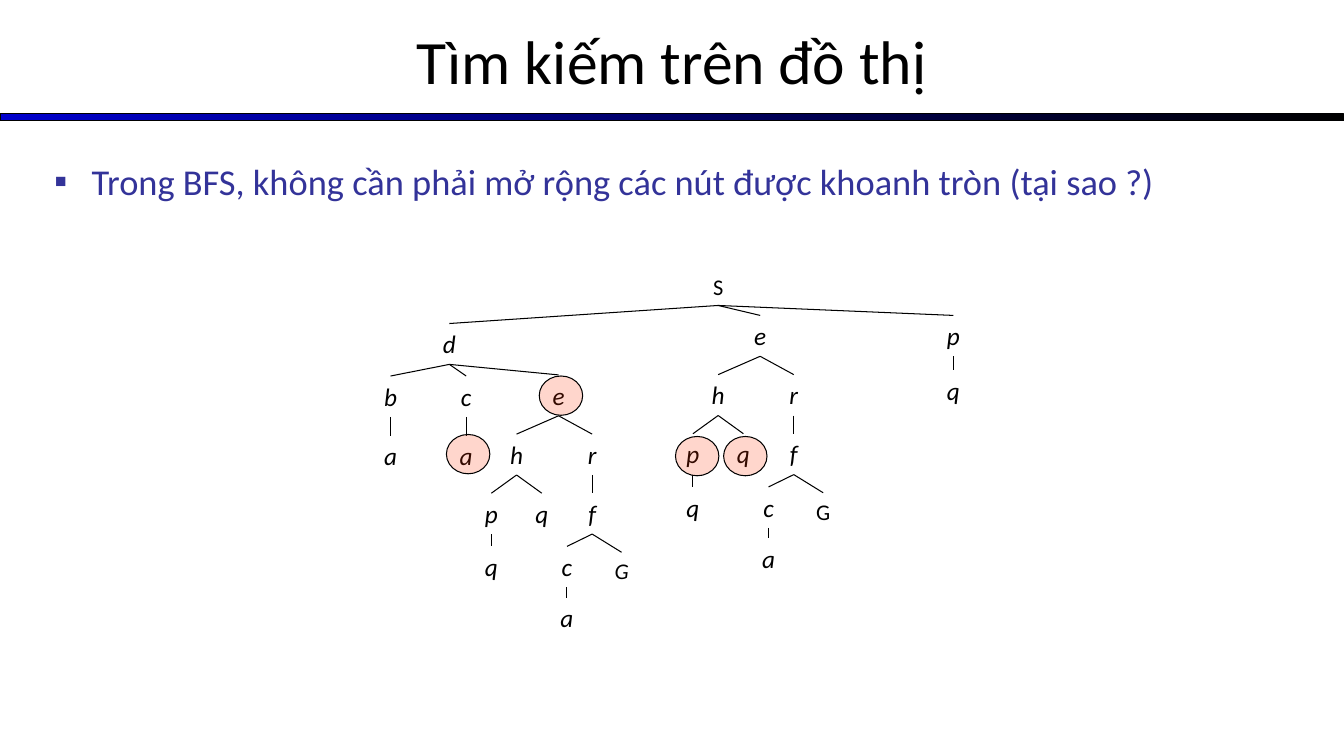
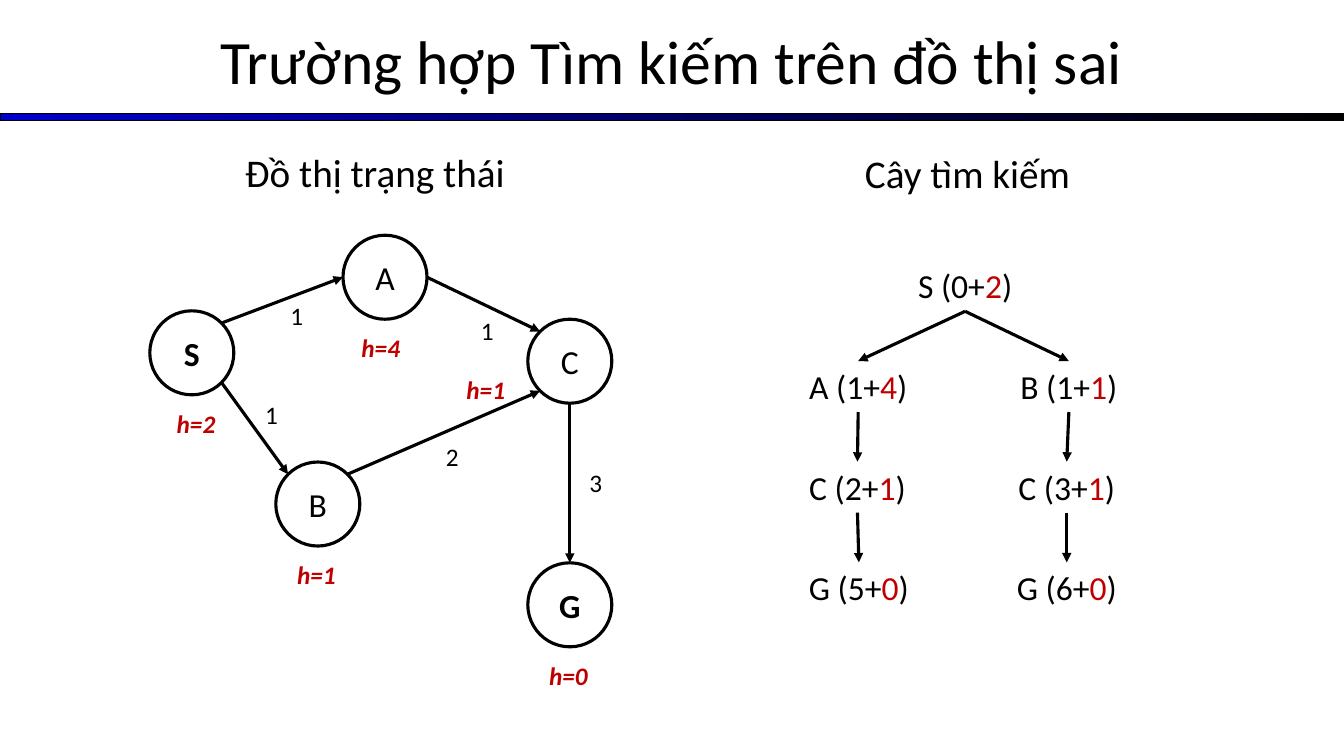
from math import sqrt
from pptx import Presentation
from pptx.dml.color import RGBColor
from pptx.enum.shapes import MSO_CONNECTOR, MSO_SHAPE
from pptx.enum.text import MSO_ANCHOR, PP_ALIGN
from pptx.oxml.ns import qn
from pptx.util import Pt
from lxml.etree import SubElement

BLACK, WHITE, RED, NAVY = "000000", "FFFFFF", "C00000", "333399"
TITLE = {"size": Pt(44)}
BULLET = {"size": Pt(26)}
HEADING = {"size": Pt(28)}
NODE = {"size": Pt(24)}
NODE_BOLD = {"size": Pt(24), "bold": True}
WEIGHT = {"size": Pt(18)}
HEURISTIC = {"size": Pt(18), "bold": True, "italic": True}
STATE = {"size": Pt(18), "italic": True}
START = {"size": Pt(16)}
GOAL_ITALIC = {"size": Pt(16), "italic": True}


def rgb(color):
    return RGBColor.from_string(color)


def add_run(p, text, style, color=BLACK):
    r = p.add_run()
    r.text = text
    for name, value in {"name": "Calibri", **style}.items():
        setattr(r.font, name, value)
    r.font.color.rgb = rgb(color)


def label(s, cx, top, runs, style, width=86):
    """One centred line of (text, colour) runs; returns nothing."""
    box = s.shapes.add_textbox(Pt(cx - width / 2), Pt(top), Pt(width),
                               Pt(style["size"].pt * 1.22 + 7.2))
    tf = box.text_frame
    tf.word_wrap = True
    p = tf.paragraphs[0]
    p.alignment = PP_ALIGN.CENTER
    for text, color in runs:
        add_run(p, text, style, color)


def line(s, start, end, width, arrow=False):
    c = s.shapes.add_connector(MSO_CONNECTOR.STRAIGHT,
                               *(Pt(v) for v in (*start, *end)))
    c.line.width = Pt(width)
    c.line.color.rgb = rgb(BLACK)
    if arrow:
        SubElement(c.line._get_or_add_ln(), qn("a:tailEnd"), type="triangle")
    SubElement(c._element.spPr, qn("a:effectLst"))


def ellipse(s, cx, cy, width, height, fill, line_width, alpha=None):
    e = s.shapes.add_shape(MSO_SHAPE.OVAL, Pt(cx - width / 2),
                           Pt(cy - height / 2), Pt(width), Pt(height))
    e.shadow.inherit = False
    e.fill.solid()
    e.fill.fore_color.rgb = rgb(fill)
    if alpha:
        clr = e._element.spPr.find(qn("a:solidFill")).find(qn("a:srgbClr"))
        SubElement(clr, qn("a:alpha"), val=str(alpha * 1000))
    e.line.color.rgb = rgb(BLACK)
    e.line.width = Pt(line_width)
    return e


# Shared slide parts
def place(shape, left, top, width, height):
    shape.left, shape.top = Pt(left), Pt(top)
    shape.width, shape.height = Pt(width), Pt(height)


def add_band(prs, s):
    """Gradient band under the title, kept on the master."""
    band = s.shapes.add_shape(MSO_SHAPE.RECTANGLE, 0, Pt(81.4), prs.slide_width, Pt(5))
    band.shadow.inherit = False
    band.fill.gradient()
    band.fill.gradient_angle = 0
    for stop, position, color in zip(band.fill.gradient_stops, (0, 1), ("0000CC", BLACK)):
        stop.position = position
        stop.color.rgb = rgb(color)
    band.line.color.rgb = rgb(BLACK)
    band.line.width = Pt(0.75)
    prs.slide_master.shapes._spTree.append(band._element)


def new_slide(prs, layout, title):
    s = prs.slides.add_slide(prs.slide_layouts[layout])
    place(s.shapes.title, 0, -2, 960, 90)
    tf = s.shapes.title.text_frame
    tf.vertical_anchor = MSO_ANCHOR.MIDDLE
    p = tf.paragraphs[0]
    p.alignment = PP_ALIGN.CENTER
    add_run(p, title, TITLE)
    return s


def bullet_body(s, text):
    body = s.placeholders[1]
    place(body, 31.7, 110.2, 895.7, 372)
    p = body.text_frame.paragraphs[0]
    pPr = p._p.get_or_add_pPr()
    pPr.set("marL", str(Pt(26.6)))
    pPr.set("indent", str(-Pt(26.6)))
    clr = SubElement(pPr, qn("a:buClr"))
    SubElement(clr, qn("a:srgbClr"), val=NAVY)
    SubElement(pPr, qn("a:buFont"), typeface="Calibri")
    SubElement(pPr, qn("a:buChar"), char="▪")
    p.space_before = Pt(0)
    add_run(p, text, BULLET, NAVY)


# Slide 1: breadth-first tree
def node(text, dx, dy, *children, style=STATE):
    """A tree node, offset from its parent."""
    return text, dx, dy, children, style


def subtree_e(dx, dy, goal_style):
    """The expansion of e, which occurs twice."""
    return node("e", dx, dy,
                node("h", -30, 42.3,
                     node("p", -18, 42.2, node("q", 0, 38)),
                     node("q", 18, 42.2)),
                node("r", 24, 42.3,
                     node("f", 0, 42.2,
                          node("c", -18, 38, node("a", 0, 36.7)),
                          node("G", 21, 42.2, style=goal_style))))


def draw_tree(s, x, top, tree):
    text, dx, dy, children, style = tree
    x, top = x + dx, top + dy
    label(s, x, top, [(text, BLACK)], style, 30)
    bottom = top + (29.2 if style is STATE else 26.7)
    for child in children:
        line(s, (x, bottom), (x + child[1], top + child[2]), 0.75)
        draw_tree(s, x, top, child)


def bfs_tree(s, left, top):
    root = node("S", 234, 0,
                node("d", -192, 39.6,
                     node("b", -42, 37.5, node("a", 0, 42.5)),
                     node("c", 12, 37.5, node("a", 0, 42.5)),
                     subtree_e(78, 36.7, GOAL_ITALIC)),
                subtree_e(30, 33.8, START),
                node("p", 168, 33.8, node("q", 0, 38.9)),
                style=START)
    draw_tree(s, left, top, root)
    # Nodes that need no expansion
    for cx, cy in ((121.7, 91.1), (219, 134.3), (55.4, 132.9), (253.4, 134.3)):
        ellipse(s, left + cx, top + cy, 31, 28.1, "FF3300", 0.75, alpha=20)


# Slide 2: state graph and search tree
def state_graph(s, left, top):
    radius, diagonal = 30, 30 / sqrt(2)
    sites = {"left": (-radius, 0), "right": (radius, 0),
             "up": (0, -radius), "down": (0, radius),
             "up_right": (diagonal, -diagonal), "up_left": (-diagonal, -diagonal),
             "down_right": (diagonal, diagonal), "down_left": (-diagonal, diagonal)}
    # name: centre, text style, heuristic, its place
    nodes = {"S": (30, 84, NODE_BOLD, "h=2", 33, 120),
             "A": (168, 30, NODE, "h=4", 165, 66),
             "B": (120, 192, NODE, "h=1", 119, 228),
             "C": (300, 90, NODE, "h=1", 240, 95.5),
             "G": (300, 264, NODE_BOLD, "h=0", 299, 300)}
    edges = [("S", "up_right", "A", "left", "1", 105, 43),
             ("S", "down_right", "B", "up_left", "1", 87, 114),
             ("B", "up_right", "C", "down_left", "2", 216, 144),
             ("A", "right", "C", "up_left", "1", 241, 54),
             ("C", "down", "G", "up", "3", 318.5, 162)]

    def site(name, side):
        return (left + nodes[name][0] + sites[side][0],
                top + nodes[name][1] + sites[side][1])

    for name, (cx, cy, style, h, hx, hy) in nodes.items():
        e = ellipse(s, left + cx, top + cy, 2 * radius, 2 * radius, WHITE, 2.25)
        e.text_frame.vertical_anchor = MSO_ANCHOR.MIDDLE
        p = e.text_frame.paragraphs[0]
        p.alignment = PP_ALIGN.CENTER
        add_run(p, name, style)
        label(s, left + hx, top + hy, [(h, RED)], HEURISTIC, 60)
    for a, a_side, b, b_side, weight, wx, wy in edges:
        line(s, site(a, a_side), site(b, b_side), 2.25, arrow=True)
        label(s, left + wx, top + wy, [(weight, BLACK)], WEIGHT, 30)


def search_tree(s, left, top):
    row, text_height = 71.9, 36.4
    root = ("S", 0, 2, 119.4)
    branches = [[("A", 1, 4, 43), ("C", 2, 1, 42.5), ("G", 5, 0, 43.5)],
                [("B", 1, 1, 193.5), ("C", 3, 1, 192), ("G", 6, 0, 192)]]

    def state(level, name, cost, h, cx):
        runs = [(f"{name} ({cost}+", BLACK), (str(h), RED), (")", BLACK)]
        label(s, left + cx, top + level * row, runs, NODE, 100)

    state(0, *root)
    for branch in branches:
        parent_x = root[3]
        for level, item in enumerate(branch, 1):
            state(level, *item)
            y = top + level * row
            line(s, (left + parent_x, y - row + text_height), (left + item[3], y),
                 2.25, arrow=True)
            parent_x = item[3]


def main():
    prs = Presentation()
    prs.slide_width, prs.slide_height = Pt(960), Pt(540)

    s = new_slide(prs, 1, "Tìm kiếm trên đồ thị")
    add_band(prs, s)
    bullet_body(s, "Trong BFS, không cần phải mở rộng các nút được khoanh tròn (tại sao ?)")
    bfs_tree(s, 279, 191.5)

    s = new_slide(prs, 5, "Trường hợp Tìm kiếm trên đồ thị sai")
    label(s, 267.8, 102.2, [("Đồ thị trạng thái", BLACK)], HEADING, 240)
    label(s, 691, 103, [("Cây tìm kiếm", BLACK)], HEADING, 240)
    state_graph(s, 107, 168)
    search_tree(s, 570, 186)

    prs.save("out.pptx")


if __name__ == "__main__":
    main()
